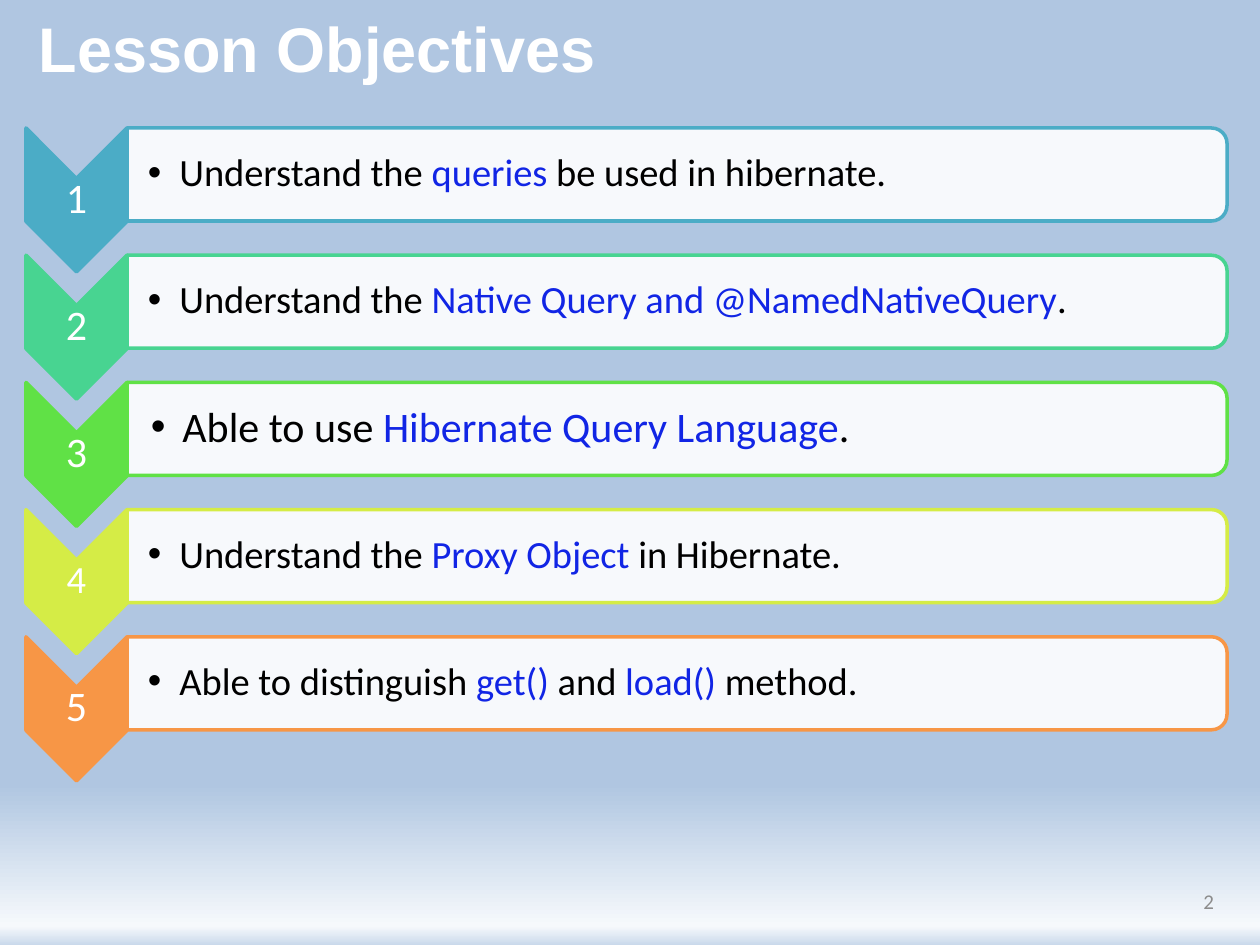
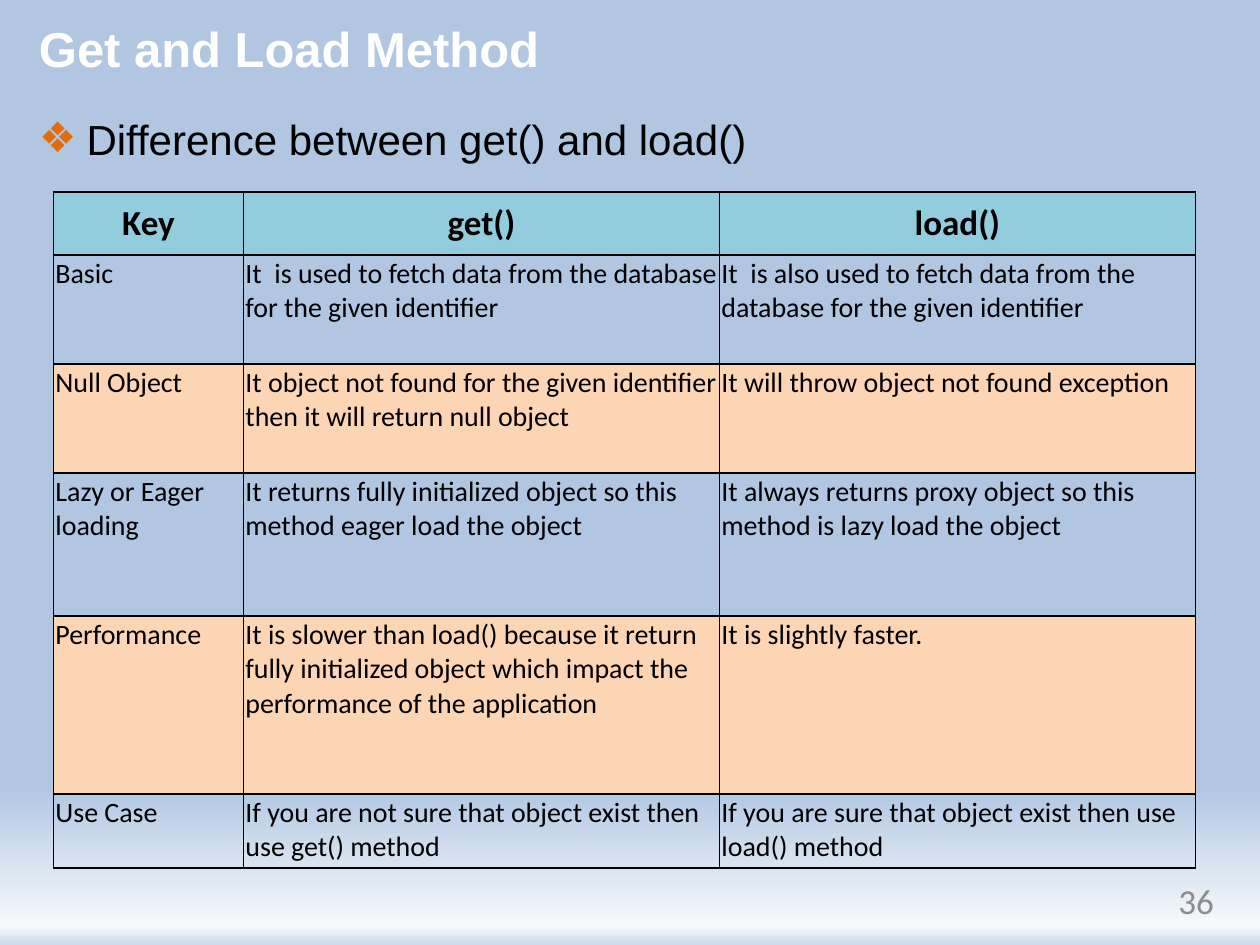
from lxml import etree
from pptx import Presentation
from pptx.dml.color import RGBColor
from pptx.enum.shapes import MSO_SHAPE
from pptx.enum.text import MSO_ANCHOR, PP_ALIGN
from pptx.oxml.ns import qn
from pptx.util import Emu, Pt

CHEVRON, ROUND_TOP = MSO_SHAPE.CHEVRON, MSO_SHAPE.ROUND_2_SAME_RECTANGLE
TOP, MIDDLE = MSO_ANCHOR.TOP, MSO_ANCHOR.MIDDLE
LEFT, CENTER, RIGHT = PP_ALIGN.LEFT, PP_ALIGN.CENTER, PP_ALIGN.RIGHT

BLACK = RGBColor(0x00, 0x00, 0x00)
WHITE = RGBColor(0xFF, 0xFF, 0xFF)
GREY = RGBColor(0x8C, 0x8C, 0x8C)
BLUE = RGBColor(0x11, 0x25, 0xE5)
ORANGE = RGBColor(0xE4, 0x6C, 0x0A)
HEADER = RGBColor(0x93, 0xCD, 0xDD)
PEACH = RGBColor(0xFC, 0xD5, 0xB5)
SKY = RGBColor(0xB0, 0xC6, 0xE1)
BACKGROUND = [(74, SKY), (83, SKY), (98, RGBColor(0xF6, 0xF9, 0xFC)),
              (100, RGBColor(0xCA, 0xD9, 0xEB))]

# Content: plain and highlighted parts of an objective alternate
OBJECTIVES = [
    # colour, number size, text size, text inset, parts
    (RGBColor(0x4B, 0xAC, 0xC6), 24, 22, 21,
     ["Understand the ", "queries ", "be used in hibernate."]),
    (RGBColor(0x48, 0xD4, 0x91), 24, 22, 21,
     ["Understand the ", "Native Query and @NamedNativeQuery", "."]),
    (RGBColor(0x60, 0xE1, 0x46), 24, 24, 24,
     ["Able to use ", "Hibernate Query Language", "."]),
    (RGBColor(0xD5, 0xEC, 0x46), 22, 22, 21,
     ["Understand the ", "Proxy Object ", "in Hibernate."]),
    (RGBColor(0xF7, 0x96, 0x46), 24, 22, 21,
     ["Able to distinguish ", "get() ", "and ", "load() ", "method."]),
]
COMPARISON = [
    ("Key", "get()", "load()"),
    ("Basic",
     "It \u00a0is used to fetch data from the database for the given identifier",
     "It \u00a0is also used to fetch data from the database for the given identifier"),
    ("Null Object",
     "It object not found for the given identifier then it will return null object",
     "It will throw object not found exception"),
    ("Lazy or Eager loading",
     "It returns fully initialized object so this method eager load the object",
     "It always returns proxy object so this method is lazy load the object"),
    ("Performance",
     "It is slower than load() because it return fully initialized object "
     "which impact the performance of the application",
     "It is slightly faster."),
    ("Use Case",
     "If you are not sure that object exist then use get() method",
     "If you are sure that object exist then use load() method"),
]
COLUMN_WIDTHS = [190, 476, 476]
ROW_HEIGHTS = [63, 109, 109, 143, 178, 74]


def px(n):
    return Emu(round(n * 914400 / 126))


def sub(parent, tag, **attrs):
    return etree.SubElement(parent, qn(tag), attrs)


def style(r, size, color, font="Calibri", bold=False):
    r.font.size, r.font.name, r.font.bold = Pt(size), font, bold
    r.font.color.rgb = color


def add_text(s, box, parts, size, colors, font="Calibri", bold=False,
             align=LEFT, anchor=MIDDLE, insets=(13, 6, 13, 6), spacing=None):
    """Text box with one paragraph; the colours take turns over its parts."""
    tf = s.shapes.add_textbox(*map(px, box)).text_frame
    tf.word_wrap, tf.vertical_anchor = True, anchor
    tf.margin_left, tf.margin_top, tf.margin_right, tf.margin_bottom = map(px, insets)
    p = tf.paragraphs[0]
    p.alignment, p.line_spacing = align, spacing
    for i, part in enumerate(parts):
        r = p.add_run()
        r.text = part
        style(r, size, colors[i % len(colors)], font, bold)
    return p


def add_bullet(p, char, indent, color):
    pPr = p._p.get_or_add_pPr()
    pPr.set("marL", str(px(indent)))
    pPr.set("indent", str(-px(indent)))
    sub(sub(pPr, "a:buClr"), "a:srgbClr", val=str(color))
    sub(pPr, "a:buFont", typeface="Arial")
    sub(pPr, "a:buChar", char=char)


def add_turned(s, kind, left, top, width, height, fill, line):
    """Shape turned by 90 degrees that covers the given box once turned."""
    shift = (width - height) / 2
    sp = s.shapes.add_shape(kind, px(left + shift), px(top - shift), px(height), px(width))
    sp.rotation = 90
    sp.shadow.inherit = False
    sp.fill.solid()
    sp.fill.fore_color.rgb = fill
    sp.line.color.rgb, sp.line.width = line, Pt(2)
    return sp


def add_slide(title, title_size, number, number_size):
    s = prs.slides.add_slide(prs.slide_layouts[6])
    fill = s.background.fill
    fill.gradient()
    fill.gradient_angle = 270
    stops = s._element.find(".//" + qn("a:gsLst"))
    stops[:] = []
    for pos, color in BACKGROUND:
        sub(sub(stops, "a:gs", pos=str(pos * 1000)), "a:srgbClr", val=str(color))
    add_text(s, (26, 3, 1201, 89), [title], title_size, [WHITE], "Arial", True)
    add_text(s, (903, 876, 324, 50), [number], number_size, [GREY], align=RIGHT)
    return s


def add_borders(cell):
    tcPr = cell._tc.get_or_add_tcPr()
    for side in ("a:lnL", "a:lnR", "a:lnT", "a:lnB"):
        ln = sub(tcPr, side, w=str(Pt(1)))
        sub(sub(ln, "a:solidFill"), "a:srgbClr", val=str(BLACK))


prs = Presentation()
prs.slide_width, prs.slide_height = px(1260), px(945)

# Objectives: numbered chevrons with bars, one every 127 pixels
s = add_slide("Lesson Objectives", 36, "2", 12)
for i, (color, number_size, size, inset, parts) in enumerate(OBJECTIVES):
    top = 128 + 127.2 * i
    add_turned(s, CHEVRON, 26, top, 101, 144, color, color)
    add_text(s, (26, top + 50, 101, 43), [str(i + 1)], number_size, [WHITE],
             align=CENTER, insets=(2, 2, 2, 2), spacing=0.9)
    bar = add_turned(s, ROUND_TOP, 127, top, 1100, 93, WHITE, color)
    sub(bar._element.spPr.find(qn("a:solidFill"))[0], "a:alpha", val="90000")
    p = add_text(s, (127, top + 4, 1096, 84), parts, size, [BLACK, BLUE],
                 insets=(inset, 2, 2, 2), spacing=0.9)
    add_bullet(p, "\u2022", 31.5, BLACK)

# Comparison: heading line and table
s = add_slide("Get and Load Method", 28, "36", 20)
p = add_text(s, (26, 107, 1201, 750), ["Difference between get() and load()"],
             24, [BLACK], "Arial", anchor=TOP)
add_bullet(p, "\u2756", 47.5, ORANGE)

table = s.shapes.add_table(len(ROW_HEIGHTS), len(COLUMN_WIDTHS), px(53.5), px(192),
                           px(sum(COLUMN_WIDTHS)), px(sum(ROW_HEIGHTS))).table
table.first_row = table.horz_banding = False
for column, width in zip(table.columns, COLUMN_WIDTHS):
    column.width = px(width)
for i, (row, texts) in enumerate(zip(table.rows, COMPARISON)):
    row.height = px(ROW_HEIGHTS[i])
    head = i == 0
    for cell, text in zip(row.cells, texts):
        cell.margin_left = cell.margin_right = px(2)
        cell.margin_top = cell.margin_bottom = px(2)
        cell.vertical_anchor = MIDDLE if head else TOP
        add_borders(cell)
        if i % 2 and not head:
            cell.fill.background()
        elif head or i < len(COMPARISON) - 1:
            cell.fill.solid()
            cell.fill.fore_color.rgb = HEADER if head else PEACH
        cell.text = text
        p = cell.text_frame.paragraphs[0]
        p.alignment = CENTER if head else LEFT
        style(p.runs[0], 20 if head else 16, BLACK, bold=head)

prs.save("out.pptx")
